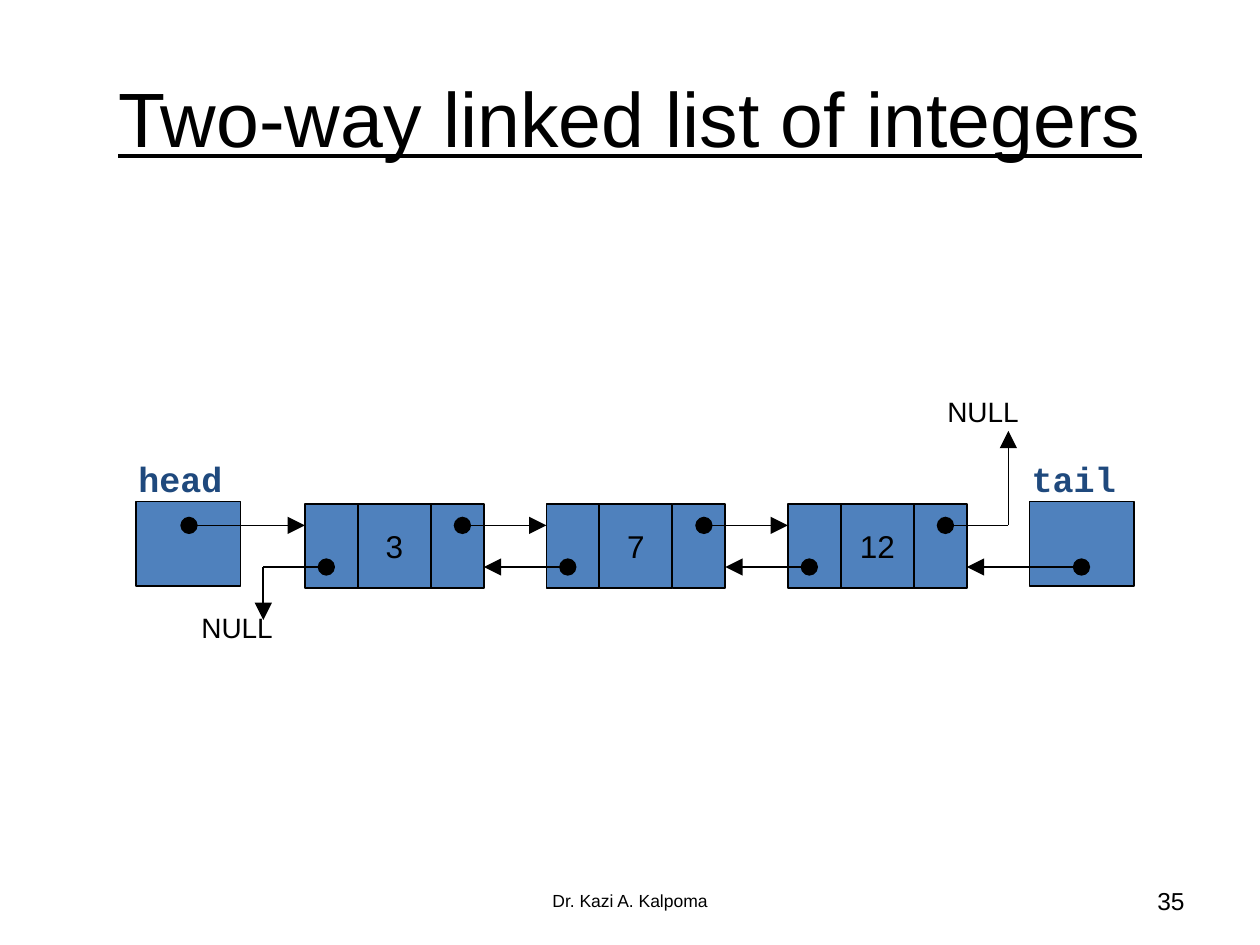
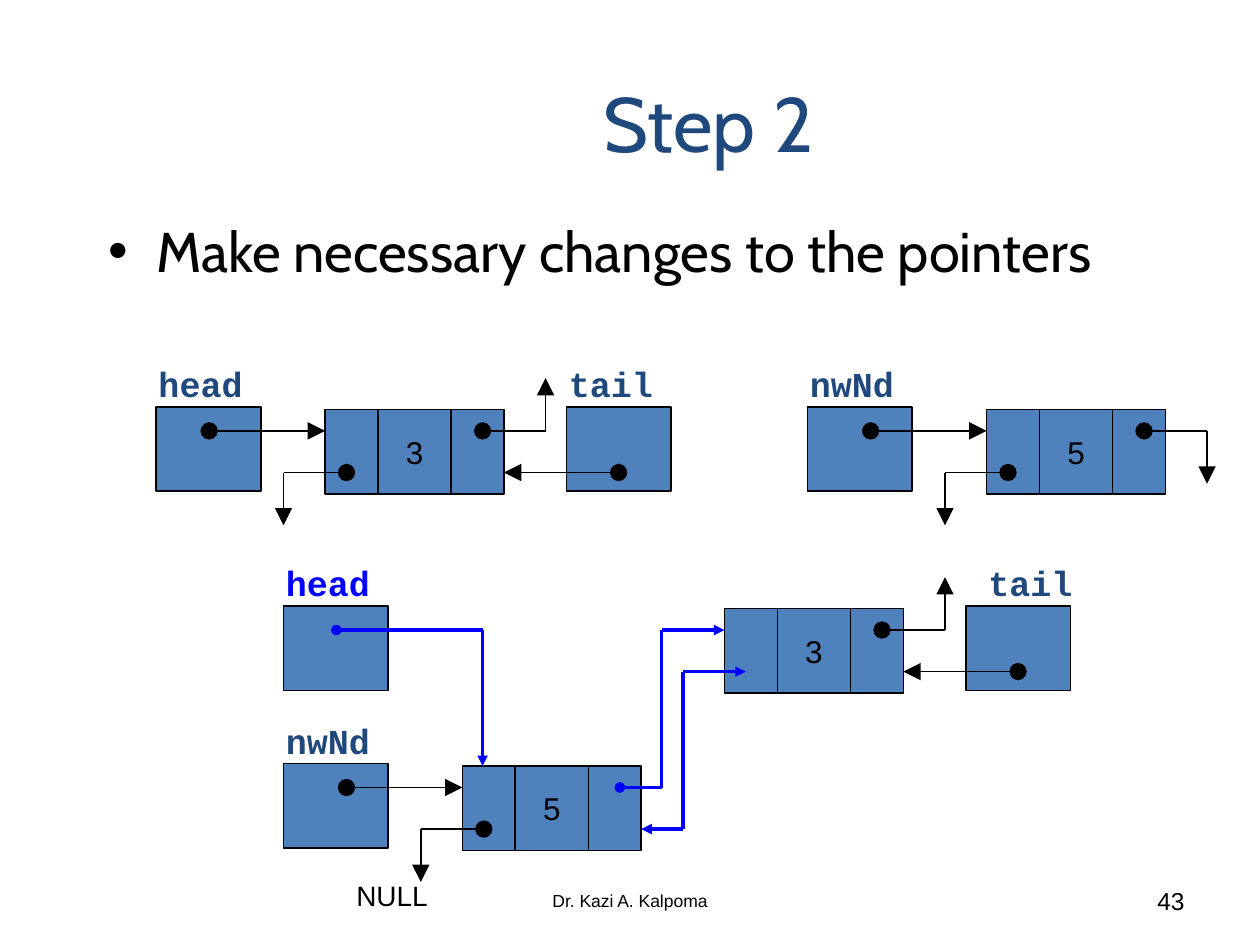
from lxml.etree import SubElement
from pptx import Presentation
from pptx.dml.color import RGBColor
from pptx.enum.shapes import MSO_CONNECTOR, MSO_SHAPE
from pptx.enum.text import MSO_ANCHOR, PP_ALIGN
from pptx.oxml.ns import qn
from pptx.util import Inches, Pt

BLACK, NAVY, BLUE, CELL_FILL = "000000", "1F497D", "0000FF", "4F81BD"
CELL_H, LINK_W, VALUE_W, POINTER_W = 0.67, 0.42, 0.58, 0.83
NEXT_Y, PREV_Y = 0.17, 0.5
NODE_STEP = 23 / 12


def rgb(color):
    return RGBColor.from_string(color)


def write(sp, text, size, font="Arial", color=BLACK, align=PP_ALIGN.LEFT,
          anchor=MSO_ANCHOR.TOP, wrap=True, bold=False, underline=False):
    tf = sp.text_frame
    tf.word_wrap = wrap
    tf.vertical_anchor = anchor
    tf.text = text
    p = tf.paragraphs[0]
    p.alignment = align
    r = p.runs[0]
    r.font.size = Pt(size)
    r.font.name = font
    r.font.bold = bold
    r.font.underline = underline
    r.font.color.rgb = rgb(color)
    return p


def add_text(s, box, text, size, **style):
    sp = s.shapes.add_textbox(*map(Inches, box))
    return write(sp, text, size, **style)


def add_cell(s, x, y, w):
    sp = s.shapes.add_shape(MSO_SHAPE.RECTANGLE, Inches(x), Inches(y), Inches(w), Inches(CELL_H))
    sp.shadow.inherit = False
    sp.fill.solid()
    sp.fill.fore_color.rgb = rgb(CELL_FILL)
    sp.line.color.rgb = rgb(BLACK)
    sp.line.width = Pt(1)
    return sp


def add_link(s, points, color=BLACK, start="oval", end="triangle"):
    width, size = (2, "med") if color == BLUE else (1, "lg")
    segments = list(zip(points, points[1:]))
    for i, (a, b) in enumerate(segments):
        c = s.shapes.add_connector(MSO_CONNECTOR.STRAIGHT, *map(Inches, a + b))
        c.line.color.rgb = rgb(color)
        c.line.width = Pt(width)
        spPr = c._element.spPr
        ln = spPr.find(qn("a:ln"))
        if i == 0:
            SubElement(ln, qn("a:headEnd"), type=start, w=size, len=size)
        if i == len(segments) - 1:
            SubElement(ln, qn("a:tailEnd"), type=end, w=size, len=size)
        SubElement(spPr, qn("a:effectLst"))


def add_node(s, x, y, value):
    value_x = x + LINK_W
    sp = add_cell(s, value_x, y, VALUE_W)
    write(sp, value, 18, align=PP_ALIGN.CENTER, anchor=MSO_ANCHOR.MIDDLE, wrap=False)
    add_cell(s, x, y, LINK_W)
    add_cell(s, value_x + VALUE_W, y, LINK_W)


def add_pointer(s, x, y, name, color=NAVY, label_dx=-0.08):
    add_cell(s, x, y - 0.02, POINTER_W)
    add_text(s, (x + label_dx, y - 0.42, 1.17, 0.44), name, 20,
             font="Courier New", color=color, bold=True)


def add_left_pointer(s, node_x, y, name, gap=1.34):
    add_pointer(s, node_x - gap, y, name)
    add_link(s, [(node_x - 0.92, y + NEXT_Y), (node_x, y + NEXT_Y)])


def add_tail(s, node_x, y, label_dx=-0.08):
    add_pointer(s, node_x + NODE_STEP, y, "tail", label_dx=label_dx)
    add_link(s, [(node_x + 2.33, y + PREV_Y), (node_x + 1.42, y + PREV_Y)])


def add_prev_null(s, x, y):
    add_link(s, [(x + 0.17, y + PREV_Y), (x - 0.33, y + PREV_Y), (x - 0.33, y + 0.92)])


def add_next_null(s, x, y, rise):
    top = y + NEXT_Y
    add_link(s, [(x + 1.25, top), (x + 1.75, top), (x + 1.75, top - rise)])


def add_null_label(s, x, y):
    p = add_text(s, (x, y, 1.35, 0.37), "NULL", 16)
    p._p.get_or_add_pPr().set("marL", str(Inches(0.5)))


def add_footer(s, number):
    add_text(s, (3.42, 6.95, 3.16, 0.4), "Dr. Kazi A. Kalpoma", 10,
             align=PP_ALIGN.CENTER, anchor=MSO_ANCHOR.MIDDLE)
    add_text(s, (7.17, 6.95, 2.33, 0.4), str(number), 14,
             align=PP_ALIGN.RIGHT, anchor=MSO_ANCHOR.MIDDLE)


def add_title(s, box, text, **style):
    add_text(s, box, text, 44, align=PP_ALIGN.CENTER, anchor=MSO_ANCHOR.MIDDLE, **style)


def add_bullet(s, box, text):
    p = add_text(s, box, text, 32, font="Cabin")
    pPr = p._p.get_or_add_pPr()
    pPr.set("marL", str(Inches(0.38)))
    pPr.set("indent", str(Inches(-0.38)))
    SubElement(SubElement(pPr, qn("a:buClr")), qn("a:srgbClr"), val=BLACK)
    SubElement(pPr, qn("a:buFont"), typeface="Arial")
    SubElement(pPr, qn("a:buChar"), char="•")


def draw_list(s, x, y, values, rise):
    nodes = [x + i * NODE_STEP for i in range(len(values))]
    for node_x, value in zip(nodes, values):
        add_node(s, node_x, y, value)
    for a, b in zip(nodes, nodes[1:]):
        add_link(s, [(a + 1.25, y + NEXT_Y), (b, y + NEXT_Y)])
        add_link(s, [(b + 0.17, y + PREV_Y), (a + 1.42, y + PREV_Y)])
    add_left_pointer(s, x, y, "head")
    add_tail(s, nodes[-1], y)
    add_prev_null(s, x, y)
    add_next_null(s, nodes[-1], y, rise)


def draw_new_node(s, x, y):
    add_node(s, x, y, "5")
    add_left_pointer(s, x, y, "nwNd", gap=1.42)
    add_prev_null(s, x, y)


def draw_relinked_list(s, x, y):
    old_x, new_x, new_y = x + 3.5, x + 1.42, y + 1.25
    upper, lower = y + NEXT_Y, y + PREV_Y
    add_pointer(s, x, y, "head", color=BLUE)
    add_node(s, old_x, y, "3")
    add_tail(s, old_x, y, label_dx=0.08)
    add_next_null(s, old_x, y, 0.42)
    draw_new_node(s, new_x, new_y)
    add_link(s, [(x + 0.42, upper), (x + 1.58, upper), (x + 1.58, new_y)], BLUE)
    add_link(s, [(new_x + 1.25, new_y + NEXT_Y), (x + 3, new_y + NEXT_Y),
                 (x + 3, upper), (old_x, upper)], BLUE)
    add_link(s, [(old_x + 0.17, lower), (x + 3.17, lower), (x + 3.17, new_y + PREV_Y),
                 (new_x + 1.42, new_y + PREV_Y)], BLUE, start="triangle")


def two_way_list_slide(s):
    add_title(s, (0.5, 0.3, 9, 1.25), "Two-way linked list of integers", underline=True)
    draw_list(s, 2.42, 4, ["3", "7", "12"], rise=0.75)
    add_footer(s, 35)
    add_null_label(s, 1, 4.8)
    add_null_label(s, 6.92, 3.08)


def step_slide(s):
    add_title(s, (2, 0.35, 7.25, 1.23), "Step 2", font="Cabin", color=NAVY)
    add_bullet(s, (0.76, 1.67, 8.92, 0.83), "Make necessary changes to the pointers")
    draw_list(s, 2.58, 3.25, ["3"], rise=0.42)
    draw_new_node(s, 7.83, 3.25)
    add_next_null(s, 7.83, 3.25, -0.42)
    draw_relinked_list(s, 2.25, 4.83)
    add_footer(s, 43)
    add_null_label(s, 2.23, 6.92)


def main():
    prs = Presentation()
    prs.slide_width, prs.slide_height = Inches(10), Inches(7.5)
    for build in (two_way_list_slide, step_slide):
        build(prs.slides.add_slide(prs.slide_layouts[6]))
    prs.save("out.pptx")


if __name__ == "__main__":
    main()
